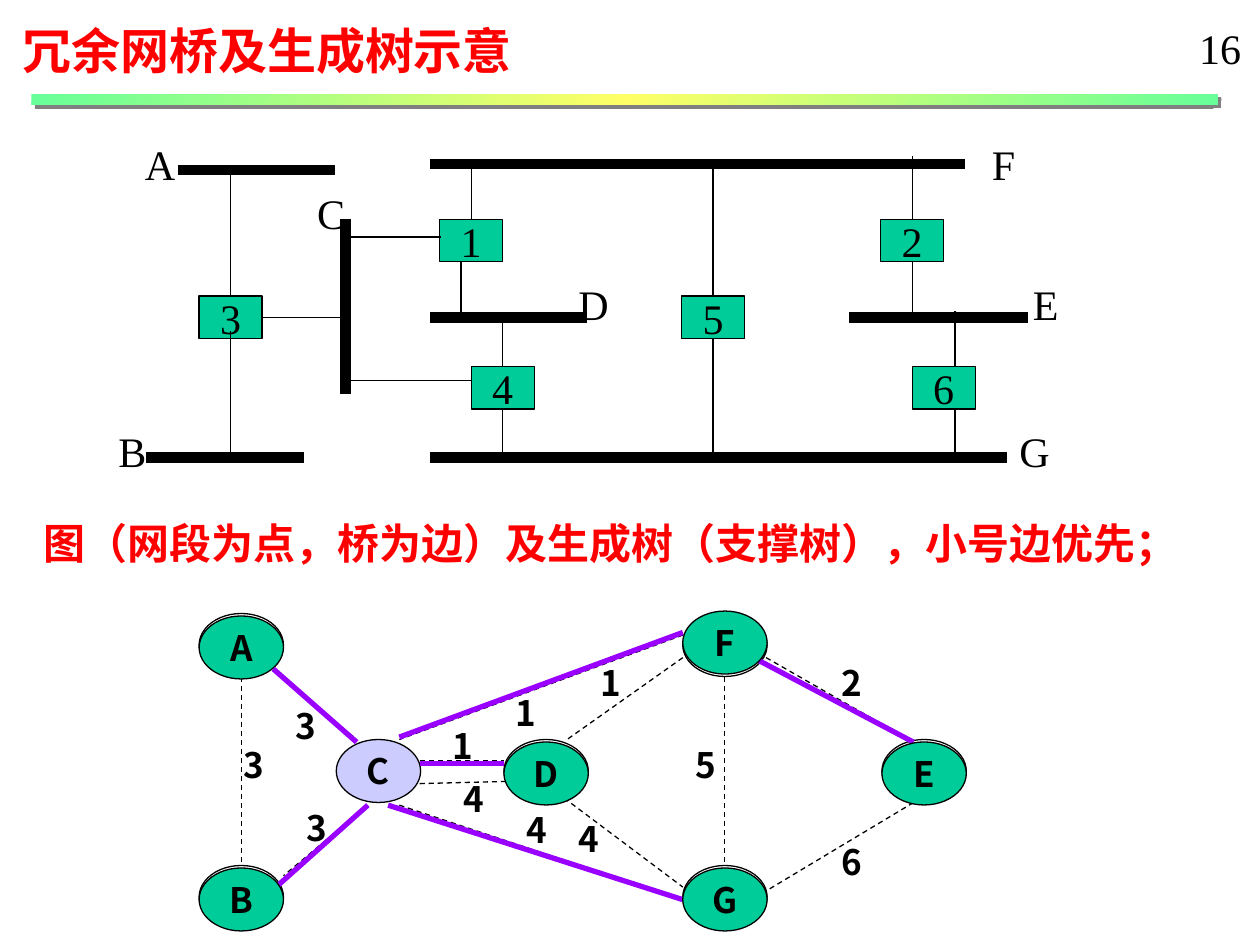
from lxml import etree
from pptx import Presentation
from pptx.dml.color import RGBColor
from pptx.enum.dml import MSO_LINE
from pptx.enum.shapes import MSO_CONNECTOR, MSO_SHAPE
from pptx.enum.text import MSO_ANCHOR, MSO_AUTO_SIZE, PP_ALIGN
from pptx.oxml import parse_xml
from pptx.oxml.ns import nsdecls, qn
from pptx.util import Pt

STRAIGHT = MSO_CONNECTOR.STRAIGHT
RECTANGLE, OVAL = MSO_SHAPE.RECTANGLE, MSO_SHAPE.OVAL
DASH = MSO_LINE.DASH
CENTER, LEFT = PP_ALIGN.CENTER, PP_ALIGN.LEFT
MIDDLE, TOP = MSO_ANCHOR.MIDDLE, MSO_ANCHOR.TOP
GROW = MSO_AUTO_SIZE.SHAPE_TO_FIT_TEXT

SANS, SERIF = "Noto Sans CJK SC", "Times New Roman"
BLACK, RED, GREEN, LILAC, PURPLE = "000000", "FF0000", "00CC99", "CCCCFF", "9900FF"

# Network segments: x1, y1, x2, y2
SEGMENTS = [
    (101.5, 97.2, 191.5, 97.2), (245.5, 261.4, 575.3, 261.4),
    (197.3, 125.3, 197.3, 225.4), (83.5, 261.4, 173.5, 261.4),
    (245.5, 93.6, 551.5, 93.6), (245.5, 181.4, 335.5, 181.4),
    (485.3, 181.4, 587.5, 181.4),
]
BRIDGES = {"1": (251.3, 125.3), "4": (269.3, 209.5), "3": (113.8, 169.2),
           "5": (389.5, 169.2), "2": (503.3, 125.3), "6": (521.3, 209.5)}
# Vertical wires: x, y1, y2
DROPS = [
    (131.8, 97.2, 169.2), (131.8, 189.4, 261.4), (269.3, 93.6, 125.3),
    (263.5, 149.8, 181.4), (287.3, 181.4, 209.5), (287.3, 233.3, 261.4),
    (407.5, 93.6, 169.2), (407.5, 193.7, 261.4), (521.3, 149.8, 181.4),
    (521.3, 89.3, 125.3), (545.8, 177.8, 209.5), (545.8, 233.3, 261.4),
]
# Horizontal wires: y, x1, x2
CROSSINGS = [(181.4, 149.8, 197.3), (217.4, 197.3, 269.3), (135.4, 198, 252)]
# Segment letters: left, top, width
SEGMENT_NAMES = {
    "A": (75.6, 75.6, 31.7), "B": (60.5, 239.8, 30.2), "C": (174.2, 103.7, 30.2),
    "D": (323.3, 155.5, 31.7), "E": (583.2, 155.5, 28.8), "F": (559.4, 75.6, 28.1),
    "G": (575.3, 239.8, 31.7),
}

# Graph nodes: left, top
NODES = {"A": (113.8, 350.6), "B": (113.8, 494.6), "C": (192.2, 422.6),
         "D": (288, 422.6), "F": (390.2, 350.6), "E": (504, 422.6),
         "G": (390.2, 494.6)}
GRAPH_EDGES = [
    (138.2, 386.6, 138.2, 494.6), (414, 386.6, 414, 494.6),
    (437.8, 375.8, 522, 424.1), (390.2, 375.8, 324, 422.6),
    (156.2, 382.3, 203.8, 422.6), (210.2, 460.1, 162, 500.4),
    (239.8, 434.9, 288, 434.9), (318.2, 452.9, 390.2, 506.9),
    (522, 458.6, 432, 512.6), (390.2, 362.9, 228.2, 422.6),
    (228.2, 460.1, 390.2, 514.1), (239.8, 447.8, 293.8, 446.4),
]
TREE_EDGES = [
    (156.2, 382.3, 203.8, 424.1), (432, 376.6, 522, 424.1),
    (390.2, 361.4, 228.2, 421.2), (390.2, 514.1, 221.8, 460.1),
    (156.2, 508.3, 210.2, 460.1), (239.8, 436.3, 288, 436.3),
]
EDGE_NUMBERS = [
    ("3", 131.8, 421.2), ("5", 390.2, 421.2), ("2", 473.8, 374.4),
    ("1", 336.2, 374.4), ("3", 162, 398.9), ("3", 167.8, 457.2),
    ("1", 251.3, 410.4), ("4", 323.3, 463.7), ("1", 287.3, 391.7),
    ("6", 473.8, 476.6), ("4", 293.8, 458.6), ("4", 257.8, 440.6),
]


def color(hex_code):
    return RGBColor.from_string(hex_code)


def write(frame, text, size, font=SERIF, ink=BLACK, align=LEFT, anchor=TOP):
    frame.word_wrap = False
    frame.vertical_anchor = anchor
    para = frame.paragraphs[0]
    para.alignment = align
    span = para.add_run()
    span.text = text
    span.font.size = Pt(size)
    span.font.name = font
    span.font.bold = font == SANS
    span.font.color.rgb = color(ink)
    if font == SANS:
        east_asian = etree.SubElement(span.font._element, qn("a:ea"))
        east_asian.set("typeface", font)


def add_text(page, at, text, size, **style):
    box = page.shapes.add_textbox(*map(Pt, at))
    write(box.text_frame, text, size, **style)
    box.text_frame.auto_size = GROW


def add_line(page, ends, width=0.75, ink=BLACK, dash=None):
    line = page.shapes.add_connector(STRAIGHT, *map(Pt, ends))
    line.line.width = Pt(width)
    line.line.color.rgb = color(ink)
    if dash:
        line.line.dash_style = dash
    etree.SubElement(line._element.spPr, qn("a:effectLst"))


def add_labelled_shape(page, kind, at, text, size, font, fill):
    shape = page.shapes.add_shape(kind, *map(Pt, at))
    shape.shadow.inherit = False
    if fill:
        shape.fill.solid()
        shape.fill.fore_color.rgb = color(fill)
    else:
        shape.fill.background()
    shape.line.color.rgb = color(BLACK)
    shape.line.width = Pt(0.75)
    write(shape.text_frame, text, size, font, align=CENTER, anchor=MIDDLE)


def add_node(page, name, fill=None, shift=0):
    left, top = NODES[name]
    add_labelled_shape(page, OVAL, (left, top + shift, 48.2, 36), name, 20, SANS, fill)


def add_title_rule(page):
    """Gradient bar with a hard grey shadow."""
    bar = page.shapes.add_shape(RECTANGLE, Pt(18), Pt(54), Pt(678), Pt(6))
    bar.line.fill.background()
    stops = "".join(
        f'<a:gs pos="{place}"><a:srgbClr val="{ink}"/></a:gs>'
        for place, ink in [(0, "66FF99"), (50000, "FFFF66"), (100000, "66FF99")])
    gradient = parse_xml(
        f'<a:gradFill {nsdecls("a")} rotWithShape="0"><a:gsLst>{stops}</a:gsLst>'
        '<a:lin ang="2700000" scaled="1"/></a:gradFill>')
    effects = parse_xml(
        f'<a:effectLst {nsdecls("a")}><a:outerShdw dist="{Pt(2.8)}" dir="2700000" '
        'algn="ctr" rotWithShape="0"><a:srgbClr val="808080"/></a:outerShdw></a:effectLst>')
    properties = bar._element.spPr
    properties.find(qn("a:prstGeom")).addnext(gradient)
    properties.append(effects)


def add_network(page):
    for name, (left, top) in BRIDGES.items():
        add_labelled_shape(page, RECTANGLE, (left, top, 36, 24.2), name, 24, SERIF, GREEN)
    for ends in SEGMENTS:
        add_line(page, ends, 6)
    for x, start, end in DROPS:
        add_line(page, (x, start, x, end))
    for y, start, end in CROSSINGS:
        add_line(page, (start, y, end, y))
    for name, (left, top, width) in SEGMENT_NAMES.items():
        add_text(page, (left, top, width, 36), name, 24, align=CENTER, anchor=MIDDLE)


def add_graph(page):
    for name in NODES:
        add_node(page, name, LILAC if name == "C" else None)
    for ends in GRAPH_EDGES:
        add_line(page, ends, dash=DASH)
    for number, left, top in EDGE_NUMBERS:
        add_text(page, (left, top, 24.5, 31), number, 20, font=SANS)


def add_spanning_tree(page):
    add_node(page, "A", GREEN, 1.4)
    for ends in TREE_EDGES:
        add_line(page, ends, 3, PURPLE)
    for name in "EFGBD":
        add_node(page, name, GREEN, -1.4 if name == "F" else 1.4)


def main():
    deck = Presentation()
    deck.slide_width, deck.slide_height = Pt(720), Pt(540)
    page = deck.slides.add_slide(deck.slide_layouts[6])
    add_text(page, (5.8, 7.9, 300, 41), "冗余网桥及生成树示意", 28, font=SANS, ink=RED)
    add_network(page)
    add_text(page, (18, 292.3, 672.5, 36),
             "图（网段为点，桥为边）及生成树（支撑树），小号边优先；", 24, font=SANS, ink=RED)
    add_text(page, (678.2, 9.4, 38.2, 36), "16", 24)
    add_title_rule(page)
    add_graph(page)
    add_spanning_tree(page)
    deck.save("out.pptx")


if __name__ == "__main__":
    main()
